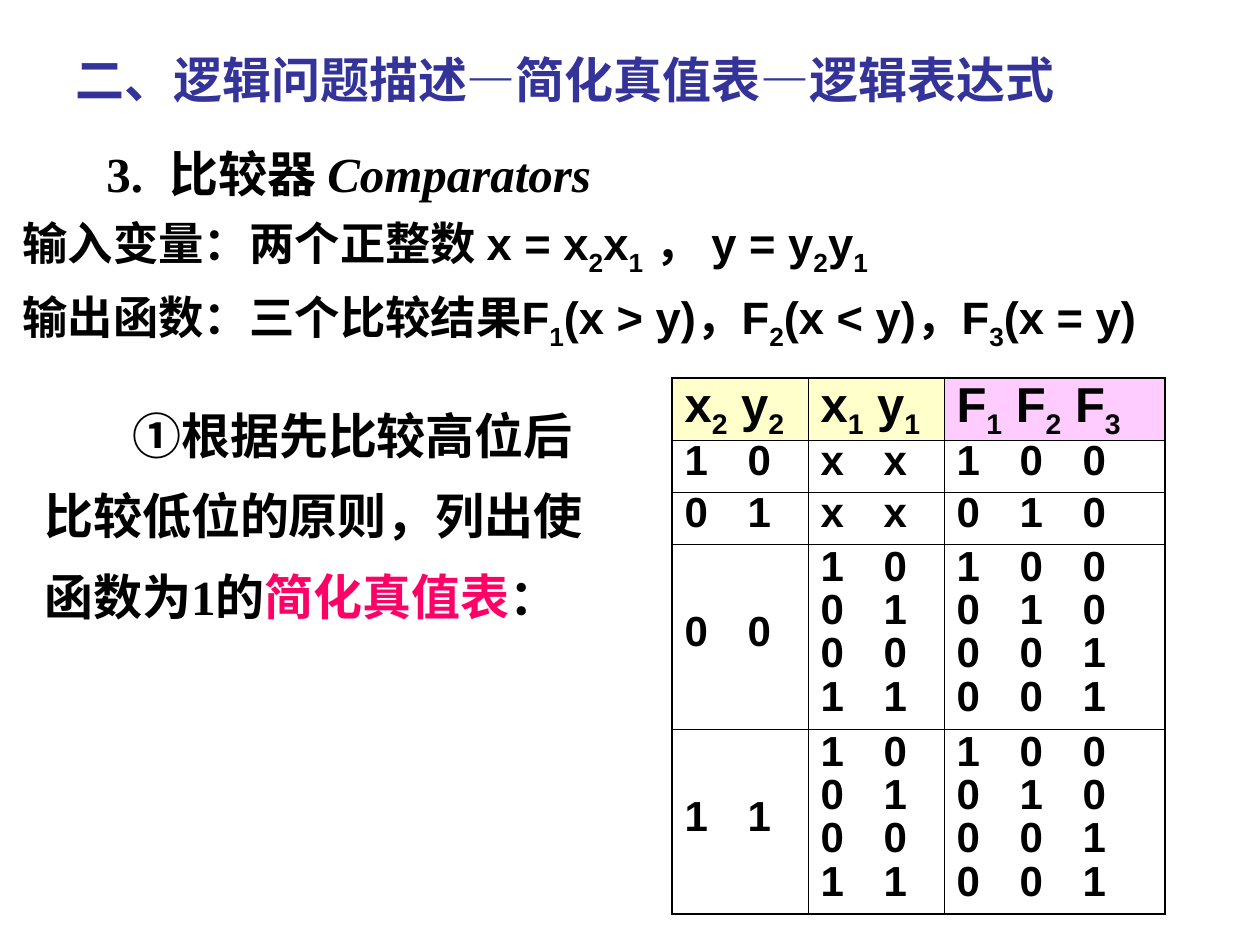
from dataclasses import dataclass

from lxml.etree import SubElement
from pptx import Presentation
from pptx.dml.color import RGBColor
from pptx.enum.text import MSO_ANCHOR as Anchor, MSO_AUTO_SIZE as AutoSize, PP_ALIGN as Align
from pptx.oxml import parse_xml
from pptx.oxml.ns import nsdecls, qn
from pptx.util import Emu, Pt

PX = 914400 // 126
COLORS = {
    "title": "333399", "ink": "000000", "accent": "FF0066",
    "inputs": "FFFFCC", "outputs": "FFCCFF", "paper": "FFFFFF",
}
OUTER, INNER = 1.08, 0.45


@dataclass(frozen=True)
class Style:
    size: float
    font: str = "Arial"
    color: str = "ink"
    line_spacing: float = 1.0
    space_before: float = 0
    margin: int = 0
    indent: int = 0
    tabs: tuple[int, ...] = ()


@dataclass(frozen=True)
class Span:
    text: str
    color: str | None = None
    italic: bool = False


TITLE = Style(28, color="title")
HEADING = Style(28, "Times New Roman", tabs=(73,))
VARIABLES = Style(25.9, line_spacing=0.7, space_before=17.5, margin=48, indent=-48)
METHOD = Style(28, "Times New Roman", line_spacing=0.85, space_before=17.5)
METHOD_FIRST = Style(28, "Times New Roman", line_spacing=0.85, indent=88)
TABLE_HEAD = Style(28, line_spacing=0.7)
BITS = Style(24, line_spacing=0.7, space_before=6, tabs=(58, 116))
DONT_CARE = Style(24, line_spacing=0.7, tabs=(47,))

LOW_BITS = "1 0\n0 1\n0 0\n1 1"
RESULTS = "1 0 0\n0 1 0\n0 0 1\n0 0 1"
HEADERS = ["x_2 y_2", "x_1 y_1", "F_1 F_2 F_3"]
TRUTH_ROWS = [
    ["1 0", "x x", "1 0 0"],
    ["0 1", "x x", "0 1 0"],
    ["0 0", LOW_BITS, RESULTS],
    ["1 1", LOW_BITS, RESULTS],
]
COLUMN_WIDTHS = [136, 136, 221]
ROW_HEIGHTS = [62, 52, 52, 185, 185]


def px(*lengths: int) -> list[Emu]:
    return [Emu(length * PX) for length in lengths]


def rgb(name: str) -> RGBColor:
    return RGBColor.from_string(COLORS[name])


def write_span(paragraph, span: Span) -> None:
    """Write a span, lowering the one character that follows each underscore."""
    first, *lowered = span.text.split("_")
    pieces = [(first, False)]
    for part in lowered:
        pieces += [(part[0], True), (part[1:], False)]
    for text, is_subscript in pieces:
        if not text:
            continue
        run = paragraph.add_run()
        run.text = text
        if is_subscript:
            run.font._element.set("baseline", "-25000")
        if span.color:
            run.font.color.rgb = rgb(span.color)
        if span.italic:
            run.font.italic = True


def write_line(frame, spans: list[Span], style: Style, first: bool = False) -> None:
    paragraph = frame.paragraphs[0] if first else frame.add_paragraph()
    paragraph.alignment = Align.LEFT
    paragraph.line_spacing = style.line_spacing
    paragraph.space_before = Pt(0 if first else style.space_before)
    properties = paragraph._p.get_or_add_pPr()
    properties.set("marL", str(style.margin * PX))
    properties.set("indent", str(style.indent * PX))
    SubElement(properties, qn("a:buNone"))
    if style.tabs:
        stops = SubElement(properties, qn("a:tabLst"))
        for position in style.tabs:
            SubElement(stops, qn("a:tab"), pos=str(position * PX), algn="l")
    font = paragraph.font
    font.name, font.size, font.bold = style.font, Pt(style.size), True
    font.color.rgb = rgb(style.color)
    for span in spans:
        write_span(paragraph, span)


def place(shape, left: int, top: int, width: int, height: int, anchor: Anchor):
    """Move a text shape and return its wrapped text frame."""
    shape.left, shape.top, shape.width, shape.height = px(left, top, width, height)
    frame = shape.text_frame
    frame.word_wrap = True
    frame.auto_size = AutoSize.NONE
    frame.vertical_anchor = anchor
    return frame


def set_borders(cell, left: float, right: float, top: float, bottom: float) -> None:
    properties = cell._tc.get_or_add_tcPr()
    sides = zip("LRTB", (left, right, top, bottom))
    for index, (side, width) in enumerate(sides):
        properties.insert(index, parse_xml(
            f'<a:ln{side} {nsdecls("a")} w="{Pt(width)}"><a:solidFill>'
            f'<a:srgbClr val="{COLORS["ink"]}"/></a:solidFill></a:ln{side}>'))


def cell_look(row: int, column: int, text: str) -> tuple[Style, str]:
    if row == 0:
        return TABLE_HEAD, "outputs" if column == 2 else "inputs"
    return (DONT_CARE if "x" in text else BITS), "paper"


def draw_truth_table(slide, left: int, top: int) -> None:
    rows = [HEADERS, *TRUTH_ROWS]
    last_row, last_column = len(rows) - 1, len(HEADERS) - 1
    table = slide.shapes.add_table(
        len(rows), len(HEADERS),
        *px(left, top, sum(COLUMN_WIDTHS), sum(ROW_HEIGHTS))).table
    table.first_row = table.horz_banding = False
    for column, width in zip(table.columns, px(*COLUMN_WIDTHS)):
        column.width = width
    for row, height in zip(table.rows, px(*ROW_HEIGHTS)):
        row.height = height
    for r, texts in enumerate(rows):
        for c, text in enumerate(texts):
            cell = table.cell(r, c)
            style, background = cell_look(r, c, text)
            cell.vertical_anchor = Anchor.MIDDLE
            cell.fill.solid()
            cell.fill.fore_color.rgb = rgb(background)
            set_borders(cell,
                        left=OUTER if c == 0 else INNER,
                        right=OUTER if c == last_column else INNER,
                        top=OUTER if r == 0 else INNER,
                        bottom=OUTER if r == last_row else INNER)
            for i, line in enumerate(text.split("\n")):
                shown = line if r == 0 else line.replace(" ", "\t")
                write_line(cell.text_frame, [Span(shown)], style, first=i == 0)


def main() -> None:
    deck = Presentation()
    deck.slide_width, deck.slide_height = px(1260, 945)
    slide = deck.slides.add_slide(deck.slide_layouts[1])
    title, body = slide.placeholders

    title_frame = place(title, 63, 32, 1029, 94, Anchor.MIDDLE)
    write_line(title_frame, [Span("二、逻辑问题描述—简化真值表—逻辑表达式")], TITLE, first=True)

    variables = place(body, 10, 220, 1229, 147, Anchor.TOP)
    write_line(variables, [Span("输入变量：两个正整数 x = x_2x_1 ， y = y_2y_1")],
               VARIABLES, first=True)
    write_line(variables, [Span("输出函数：三个比较结果F_1(x > y)，F_2(x < y)，F_3(x = y)")],
               VARIABLES)

    method = place(slide.shapes.add_textbox(0, 0, 0, 0), 32, 408, 609, 224, Anchor.TOP)
    write_line(method, [Span("①根据先比较高位后")], METHOD_FIRST, first=True)
    write_line(method, [Span("比较低位的原则，列出使")], METHOD)
    write_line(method, [Span("函数为1的"), Span("简化真值表", "accent"), Span("：")], METHOD)

    draw_truth_table(slide, 672, 378)

    heading = place(slide.shapes.add_textbox(0, 0, 0, 0), 94, 126, 546, 94, Anchor.MIDDLE)
    write_line(heading, [Span("3.\t比较器 "), Span("Comparators", italic=True)],
               HEADING, first=True)

    deck.save("out.pptx")


if __name__ == "__main__":
    main()
